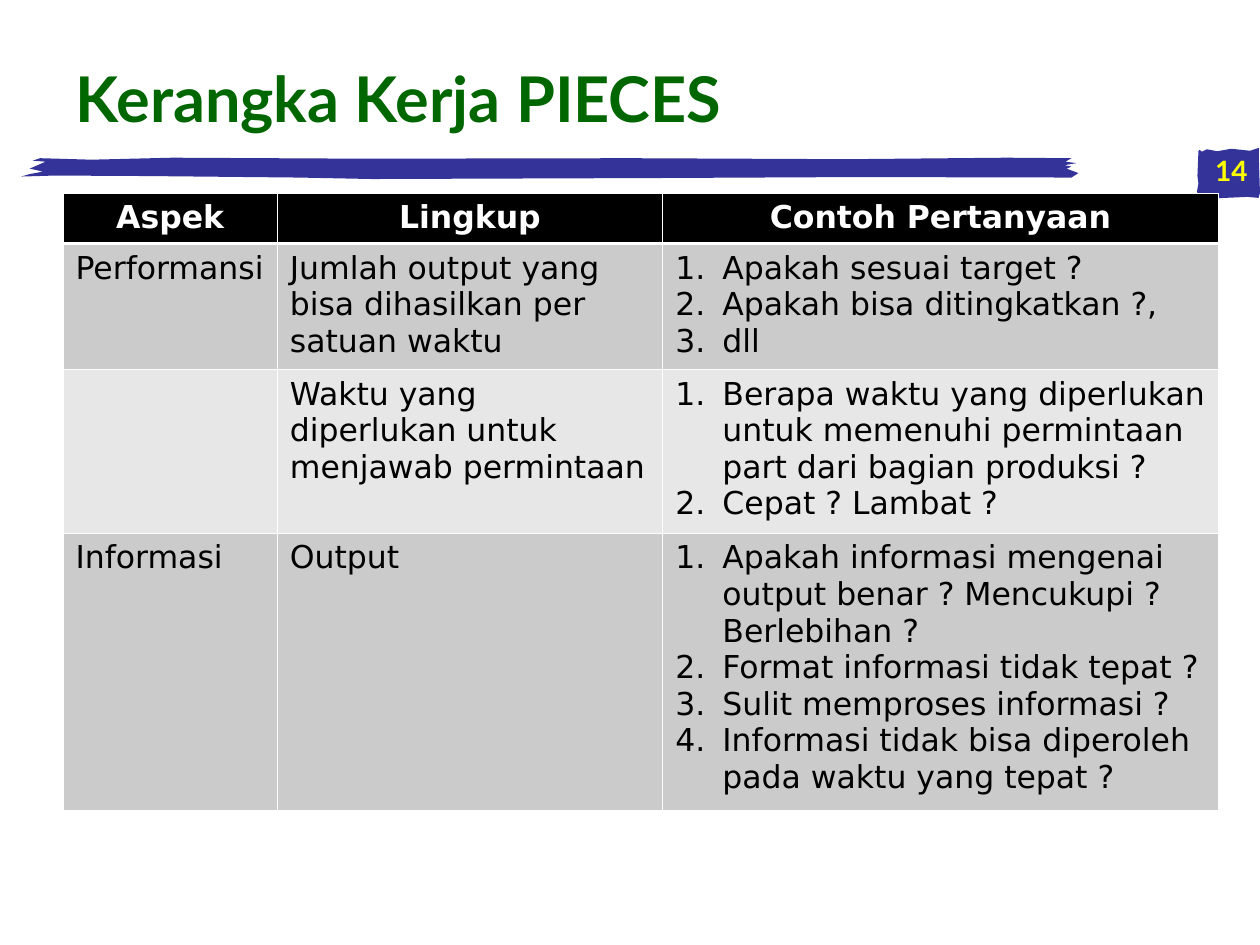
"""Build the PIECES framework slide with its brush strokes, number badge and table."""
from lxml.etree import SubElement
from pptx import Presentation
from pptx.dml.color import RGBColor
from pptx.enum.text import MSO_ANCHOR, PP_ALIGN
from pptx.oxml.ns import qn
from pptx.util import Cm, Pt

BAND = [
    (0.81, 3.19), (1.85, 3.22), (3.48, 3.18), (7.34, 3.2), (12.7, 3.19),
    (17.1, 3.21), (20.29, 3.18), (21.6, 3.19), (21.48, 3.26), (21.7, 3.29),
    (21.46, 3.33), (21.6, 3.36), (21.5, 3.4), (21.74, 3.49), (21.6, 3.58),
    (17.3, 3.57), (13.2, 3.59), (7.5, 3.61), (6, 3.58), (3, 3.55),
    (1.1, 3.54), (0.43, 3.56), (0.6, 3.51), (0.87, 3.46), (0.6, 3.4),
    (0.92, 3.26), (0.66, 3.24),
]
BADGE = [
    (24.18, 3.02), (24.23, 3.06), (24.33, 3.01), (24.54, 3.05), (24.82, 3),
    (25.02, 3.02), (25.2, 3.04), (25.38, 2.98), (25.38, 3.25), (25.4, 3.89),
    (25.37, 3.99), (25.15, 3.97), (24.7, 3.99), (24.5, 4), (24.28, 3.94),
    (24.15, 3.92), (24.13, 3.86), (24.16, 3.7), (24.14, 3.55), (24.16, 3.05),
]
HEADINGS = ["Aspek", "Lingkup", "Contoh Pertanyaan"]
ROWS = [
    ("Performansi", "Jumlah output yang bisa dihasilkan per satuan waktu",
     ["Apakah sesuai target ?", "Apakah bisa ditingkatkan ?,", "dll"]),
    ("", "Waktu yang diperlukan untuk menjawab permintaan",
     ["Berapa waktu yang diperlukan untuk memenuhi permintaan part dari bagian produksi ?",
      "Cepat ? Lambat ?"]),
    ("Informasi", "Output",
     ["Apakah informasi mengenai output benar ? Mencukupi ? Berlebihan ?",
      "Format informasi tidak tepat ?", "Sulit memproses informasi ?",
      "Informasi tidak bisa diperoleh pada waktu yang tepat ?"]),
]


def color(value):
    return RGBColor.from_string(value)


def write(paragraph, text, font="DejaVu Sans", size=18, fill="000000",
          bold=False, align=PP_ALIGN.LEFT):
    paragraph.alignment = align
    run = paragraph.add_run()
    run.text = text
    run.font.name = font
    run.font.size = Pt(size)
    run.font.bold = bold
    run.font.color.rgb = color(fill)


class SlideBuilder:
    heading_font = "Lato"
    brush = "333399"
    title_color = "006600"
    number_color = "FFFF00"
    header_fill = "000000"
    line = "FFFFFF"
    stripes = ("CBCBCB", "E7E7E7")

    def __init__(self, slide):
        self.slide = slide

    def title(self, text, left, top, width, height):
        shape = self.slide.shapes.title
        shape.left, shape.top = Cm(left), Cm(top)
        shape.width, shape.height = Cm(width), Cm(height)
        shape.text_frame.vertical_anchor = MSO_ANCHOR.MIDDLE
        write(shape.text_frame.paragraphs[0], text, font=self.heading_font,
              size=36, fill=self.title_color, bold=True)

    def brush_stroke(self, points):
        start, *others = [(Cm(x), Cm(y)) for x, y in points]
        builder = self.slide.shapes.build_freeform(*start)
        builder.add_line_segments(others, close=True)
        shape = builder.convert_to_shape()
        shape.shadow.inherit = False
        shape.fill.solid()
        shape.fill.fore_color.rgb = color(self.brush)
        shape.line.fill.background()

    def number(self, text, left, top, width, height):
        shape = self.slide.shapes.add_textbox(Cm(left), Cm(top), Cm(width), Cm(height))
        shape.text_frame.word_wrap = True
        write(shape.text_frame.paragraphs[0], text, font=self.heading_font,
              size=16, fill=self.number_color, bold=True, align=PP_ALIGN.RIGHT)

    def table(self, headings, rows, left, top, widths, heights):
        shape = self.slide.shapes.add_table(
            len(heights), len(widths), Cm(left), Cm(top), Cm(sum(widths)), Cm(sum(heights)))
        table = shape.table
        table.horz_banding = False
        for column, width in zip(table.columns, widths):
            column.width = Cm(width)
        for row, height in zip(table.rows, heights):
            row.height = Cm(height)
        for column, heading in enumerate(headings):
            cell = table.cell(0, column)
            self.paint(cell, self.header_fill, bottom=1.5)
            write(cell.text_frame.paragraphs[0], heading, fill="FFFFFF",
                  bold=True, align=PP_ALIGN.CENTER)
        for index, contents in enumerate(rows, start=1):
            for column, content in enumerate(contents):
                cell = table.cell(index, column)
                self.paint(cell, self.stripes[(index - 1) % 2], top=1.5 if index == 1 else 0.45)
                if isinstance(content, list):
                    self.numbered_list(cell.text_frame, content)
                elif content:
                    write(cell.text_frame.paragraphs[0], content)

    def paint(self, cell, fill, top=0.45, bottom=0.45):
        properties = cell._tc.get_or_add_tcPr()
        for side, width in (("L", 0.45), ("R", 0.45), ("T", top), ("B", bottom)):
            border = SubElement(properties, qn(f"a:ln{side}"), w=str(Pt(width)))
            solid = SubElement(border, qn("a:solidFill"))
            SubElement(solid, qn("a:srgbClr"), val=self.line)
        cell.fill.solid()
        cell.fill.fore_color.rgb = color(fill)

    def numbered_list(self, frame, items):
        for index, item in enumerate(items):
            paragraph = frame.add_paragraph() if index else frame.paragraphs[0]
            properties = paragraph._p.get_or_add_pPr()
            properties.set("marL", str(Cm(0.95)))
            properties.set("indent", str(-Cm(0.95)))
            SubElement(properties, qn("a:buFont"), typeface="+mj-lt")
            SubElement(properties, qn("a:buAutoNum"), type="arabicPeriod")
            write(paragraph, item)


def main():
    presentation = Presentation()
    presentation.slide_width, presentation.slide_height = Cm(25.4), Cm(19.05)
    builder = SlideBuilder(presentation.slides.add_slide(presentation.slide_layouts[5]))
    builder.brush_stroke(BADGE)
    builder.number("14", 24.13, 2.97, 1.27, 0.89)
    builder.brush_stroke(BAND)
    builder.title("Kerangka Kerja PIECES", 1.27, 0.76, 22.86, 2.41)
    builder.table(HEADINGS, ROWS, 1.27, 3.89,
                  widths=(4.32, 7.77, 11.2), heights=(1.02, 2.54, 3.3, 5.59))
    presentation.save("out.pptx")


if __name__ == "__main__":
    main()
